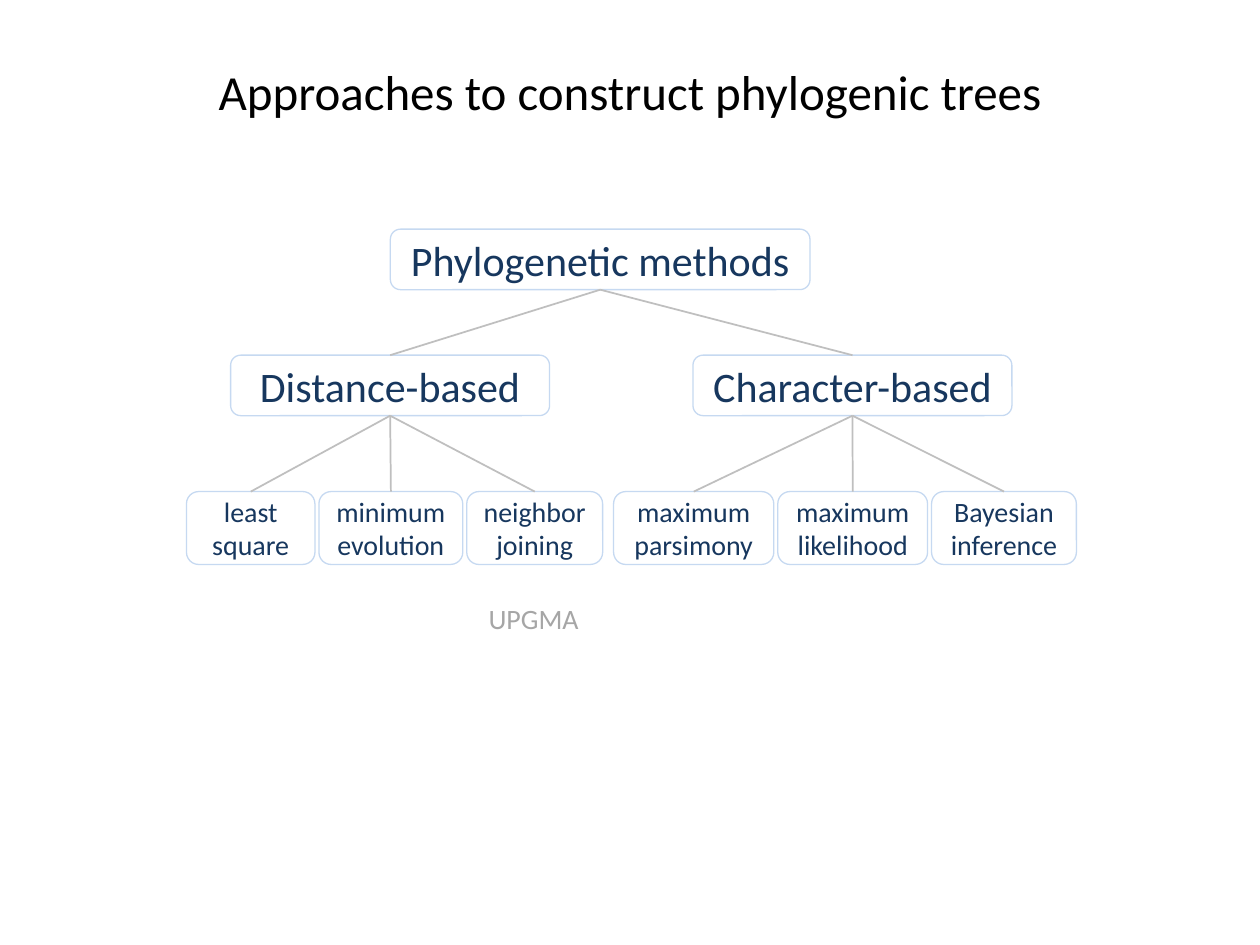
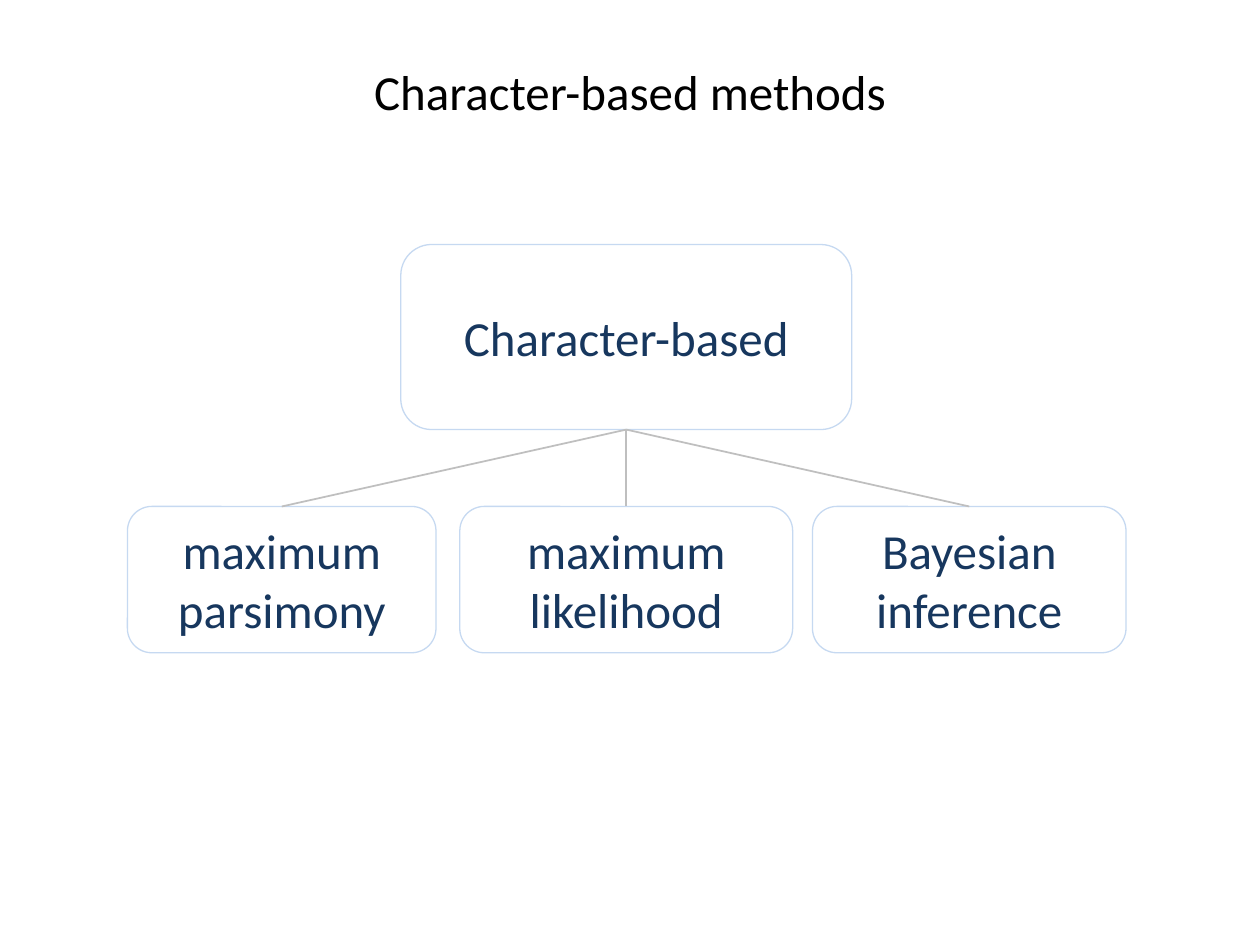
import dataclasses

import pptx
import pptx.dml.color
import pptx.enum.shapes
import pptx.enum.text
import pptx.oxml.ns
import pptx.util
from lxml import etree

Cm = pptx.util.Cm
Pt = pptx.util.Pt
Color = pptx.dml.color.RGBColor.from_string
Align = pptx.enum.text.PP_ALIGN
Anchor = pptx.enum.text.MSO_ANCHOR


@dataclasses.dataclass(frozen=True)
class Theme:
    font: str = "Calibri"
    title_color: str = "000000"
    box_text: str = "17375E"
    box_line: str = "C6D9F1"
    branch_line: str = "BFBFBF"
    note_text: str = "A6A6A6"
    title_size: int = 28
    heading_size: int = 24
    small_size: int = 16
    box_line_width: float = 0.75
    branch_line_width: float = 1


theme = Theme()


def write_text(shape, text, size, color, align=Align.CENTER,
               anchor=Anchor.MIDDLE, wrap=True, side_margin=0.25):
    frame = shape.text_frame
    frame.word_wrap = wrap
    frame.vertical_anchor = anchor
    frame.margin_left = frame.margin_right = Cm(side_margin)
    paragraph = frame.paragraphs[0]
    paragraph.alignment = align
    run = paragraph.add_run()
    run.text = text
    run.font.name = theme.font
    run.font.size = Pt(size)
    run.font.color.rgb = Color(color)


# Each box: text, parent text, left, top, width, height (cm), type size
methods_tree = [
    ("Phylogenetic methods", None, 7.87, 4.62, 8.46, 1.22, theme.heading_size),
    ("Distance-based", "Phylogenetic methods", 4.65, 7.16, 6.43, 1.22, theme.heading_size),
    ("Character-based", "Phylogenetic methods", 13.97, 7.16, 6.43, 1.22, theme.heading_size),
]

# The leaves of each group stand side by side with one gap
leaf_gap = 0.08
leaf_groups = [
    ("Distance-based", 3.76,
     [("least square", 2.59), ("minimum evolution", 2.9), ("neighbor joining", 2.74)]),
    ("Character-based", 12.37,
     [("maximum parsimony", 3.23), ("maximum likelihood", 3.02), ("Bayesian inference", 2.92)]),
]
for parent, left, leaves in leaf_groups:
    for text, width in leaves:
        methods_tree.append((text, parent, left, 9.91, width, 1.47, theme.small_size))
        left += width + leaf_gap

character_tree = [
    ("Character-based", None, 8.08, 4.93, 9.09, 3.73, theme.title_size),
    ("maximum parsimony", "Character-based", 2.57, 10.21, 6.22, 2.95, theme.title_size),
    ("maximum likelihood", "Character-based", 9.27, 10.21, 6.71, 2.95, theme.title_size),
    ("Bayesian inference", "Character-based", 16.38, 10.21, 6.32, 2.95, theme.title_size),
]

# Each slide: title, tree, notes as text with left, top, width, height
slides = [
    ("Approaches to construct phylogenic trees", methods_tree,
     [("UPGMA", 9.6, 12.01, 2.36, 0.94)]),
    ("Character-based methods", character_tree, []),
]

presentation = pptx.Presentation()
presentation.slide_width = Cm(25.4)
presentation.slide_height = Cm(19.05)

for title, tree, notes in slides:
    slide = presentation.slides.add_slide(presentation.slide_layouts[6])

    # Title
    title_box = slide.shapes.add_textbox(Cm(1.27), Cm(0.76), Cm(22.86), Cm(2.16))
    write_text(title_box, title, theme.title_size, theme.title_color)

    # Boxes
    boxes = {}
    for text, parent, left, top, width, height, size in tree:
        box = slide.shapes.add_shape(
            pptx.enum.shapes.MSO_SHAPE.ROUNDED_RECTANGLE,
            Cm(left), Cm(top), Cm(width), Cm(height))
        box.shadow.inherit = False
        box.fill.background()
        box.line.color.rgb = Color(theme.box_line)
        box.line.width = Pt(theme.box_line_width)
        write_text(box, text, size, theme.box_text, side_margin=0.2)
        boxes[text] = box

    # Branches from the bottom of a parent to the top of its child
    for text, parent, *_ in tree:
        if parent is None:
            continue
        branch = slide.shapes.add_connector(
            pptx.enum.shapes.MSO_CONNECTOR.STRAIGHT, 0, 0, 0, 0)
        branch.begin_connect(boxes[parent], 2)
        branch.end_connect(boxes[text], 0)
        branch.line.color.rgb = Color(theme.branch_line)
        branch.line.width = Pt(theme.branch_line_width)
        etree.SubElement(branch._element.spPr, pptx.oxml.ns.qn("a:effectLst"))

    # Notes
    for text, left, top, width, height in notes:
        note = slide.shapes.add_textbox(Cm(left), Cm(top), Cm(width), Cm(height))
        write_text(note, text, theme.small_size, theme.note_text,
                   align=Align.LEFT, anchor=Anchor.TOP, wrap=False)

presentation.save("out.pptx")
